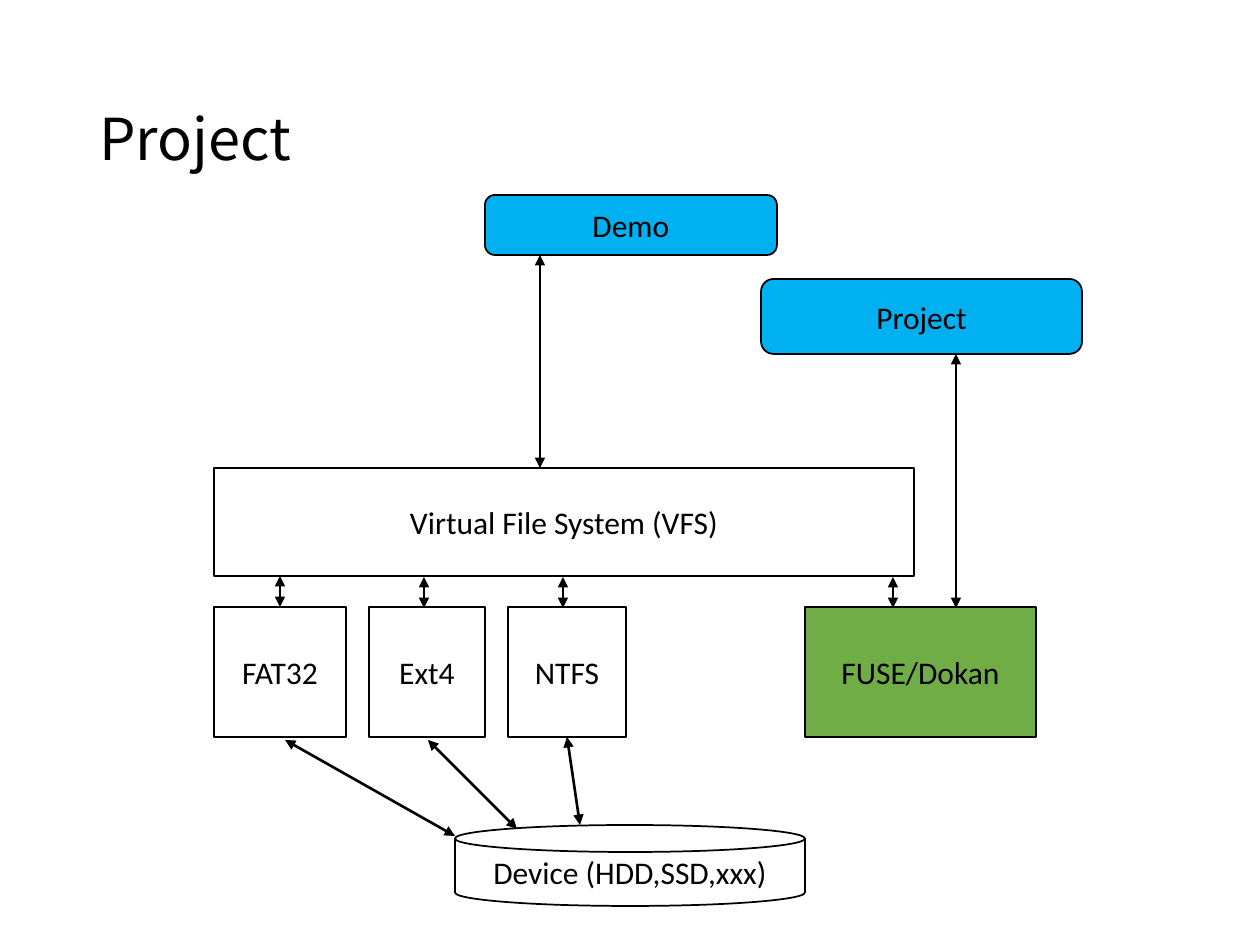
from dataclasses import dataclass

from lxml import etree
from pptx import Presentation
from pptx import util as u
from pptx.dml.color import RGBColor
from pptx.enum import shapes, text
from pptx.oxml.ns import qn


@dataclass(frozen=True)
class Theme:
    black: RGBColor = RGBColor(0x00, 0x00, 0x00)
    white: RGBColor = RGBColor(0xFF, 0xFF, 0xFF)
    blue: RGBColor = RGBColor(0x00, 0xB0, 0xF0)
    green: RGBColor = RGBColor(0x70, 0xAD, 0x47)
    title_font: str = "Noto Sans CJK SC"
    body_font: str = "Calibri"
    title_size: int = 33
    body_size: int = 18
    outline: float = 1
    arrow: float = 1.5


THEME = Theme()
PX = u.Inches(1) / 126
TOP, BOTTOM = 0, 2
KIND = shapes.MSO_SHAPE

# Content: lengths in px
TITLE = ("Project", (87, 50, 1086, 183))
ROW_TOP, ROW_HEIGHT = 607, 130
BLOCKS = [  # label, kind, fill, (left, top, width, height)
    ("Device (HDD,SSD,xxx)", KIND.FLOWCHART_MAGNETIC_DISK, THEME.white, (455, 825, 350, 81)),
    ("Virtual File System (VFS)", KIND.RECTANGLE, THEME.white, (214, 468, 700, 108)),
    ("Project", KIND.ROUNDED_RECTANGLE, THEME.blue, (761, 279, 321, 75)),
    ("Demo", KIND.ROUNDED_RECTANGLE, THEME.blue, (485, 195, 292, 60)),
]
FILE_SYSTEMS = [  # label, fill, left, width
    ("FAT32", THEME.white, 214, 132),
    ("Ext4", THEME.white, 369, 116),
    ("NTFS", THEME.white, 508, 118),
    ("FUSE/Dokan", THEME.green, 805, 231),
]
BLOCKS += [(label, KIND.RECTANGLE, fill, (left, ROW_TOP, width, ROW_HEIGHT))
           for label, fill, left, width in FILE_SYSTEMS]
ARROWS = [  # start, end, joined block at start, joined block at end
    ((540, 255), (540, 468), None, None),
    ((280, 576), (280, 607), None, "FAT32"),
    ((424, 577), (424, 608), None, None),
    ((563, 577), (563, 608), None, None),
    ((893, 577), (893, 608), None, None),
    ((956, 354), (956, 608), None, None),
    ((285, 740), (455, 836), None, None),
    ((428, 740), (517, 829), None, None),
    ((567, 737), (580, 825), "NTFS", None),
]


def emu(lengths):
    return [round(length * PX) for length in lengths]


def write(box, words, font, size, align):
    frame = box.text_frame
    frame.text = words
    frame.word_wrap = True
    frame.vertical_anchor = text.MSO_ANCHOR.MIDDLE
    para = frame.paragraphs[0]
    para.alignment = align
    span = para.runs[0]
    span.font.name = font
    span.font.size = u.Pt(size)
    span.font.color.rgb = THEME.black
    return para


def add_block(page, label, kind, fill, bounds):
    box = page.shapes.add_shape(kind, *emu(bounds))
    box.shadow.inherit = False
    box.fill.solid()
    box.fill.fore_color.rgb = fill
    box.line.color.rgb = THEME.black
    box.line.width = u.Pt(THEME.outline)
    write(box, label, THEME.body_font, THEME.body_size, text.PP_ALIGN.CENTER)
    return box


def add_arrow(page, start, end):
    arrow = page.shapes.add_connector(shapes.MSO_CONNECTOR.STRAIGHT, *emu(start + end))
    arrow.line.color.rgb = THEME.black
    arrow.line.width = u.Pt(THEME.arrow)
    line = arrow.line._get_or_add_ln()
    for tip in ("a:headEnd", "a:tailEnd"):
        etree.SubElement(line, qn(tip), type="triangle")
    etree.SubElement(arrow._element.spPr, qn("a:effectLst"))
    return arrow


def main():
    deck = Presentation()
    deck.slide_width, deck.slide_height = u.Inches(10), u.Inches(7.5)
    page = deck.slides.add_slide(deck.slide_layouts[6])

    # Title
    words, bounds = TITLE
    title = page.shapes.add_textbox(*emu(bounds))
    para = write(title, words, THEME.title_font, THEME.title_size, text.PP_ALIGN.LEFT)
    para.line_spacing = 0.9

    # Layers of the file system
    boxes = [add_block(page, *block) for block in BLOCKS]
    by_label = {block[0]: box for block, box in zip(BLOCKS, boxes)}

    # Two-way arrows between the layers
    for start, end, above, below in ARROWS:
        arrow = add_arrow(page, start, end)
        if above:
            arrow.begin_connect(by_label[above], BOTTOM)
        if below:
            arrow.end_connect(by_label[below], TOP)

    deck.save("out.pptx")


if __name__ == "__main__":
    main()
